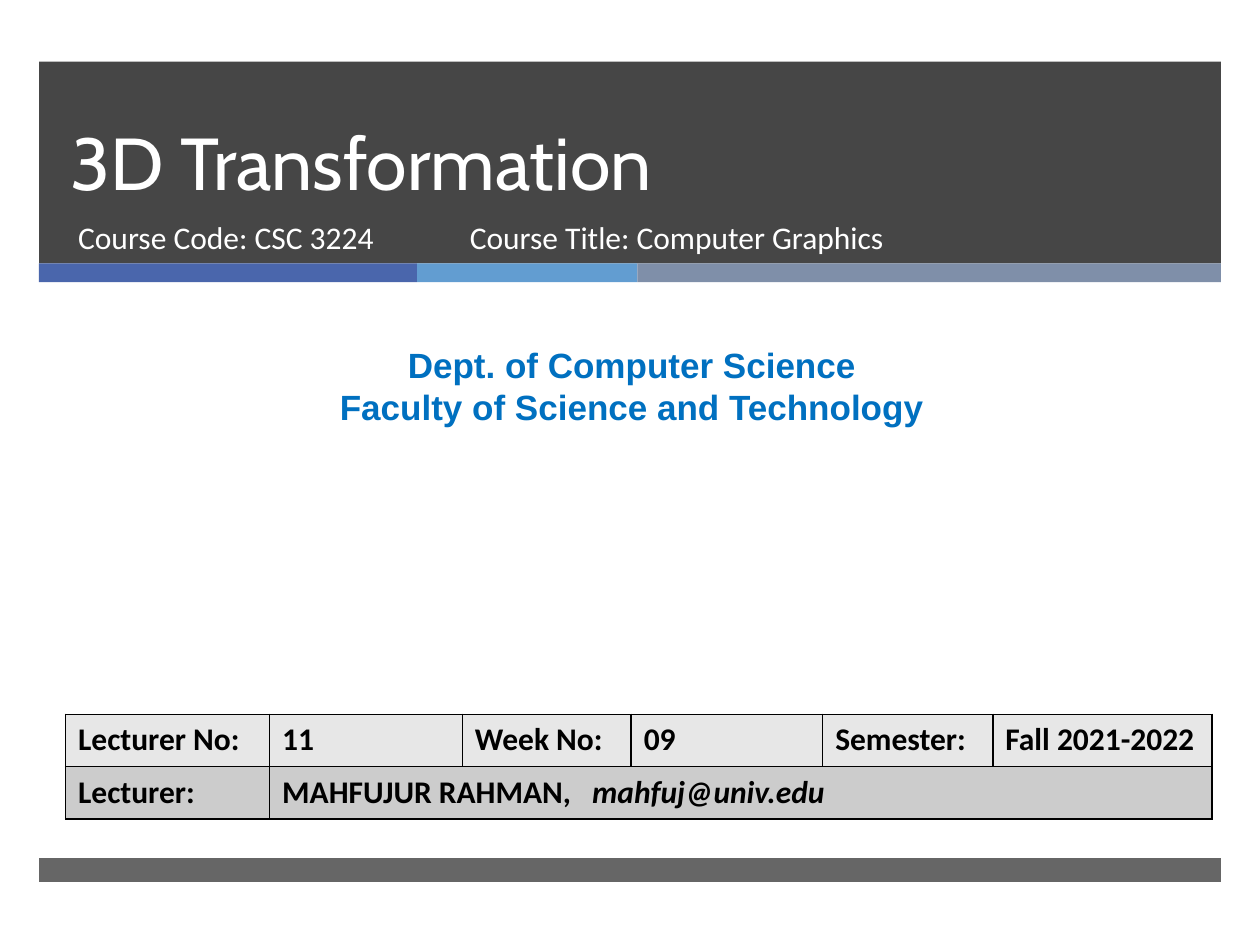
from lxml.etree import SubElement
from pptx import Presentation
from pptx.dml.color import RGBColor
from pptx.enum.shapes import MSO_SHAPE
from pptx.enum.text import MSO_ANCHOR, MSO_AUTO_SIZE, PP_ALIGN
from pptx.oxml.ns import qn
from pptx.util import Inches, Pt

WHITE = RGBColor(0xFF, 0xFF, 0xFF)
BLACK = RGBColor(0x00, 0x00, 0x00)
CHARCOAL = RGBColor(0x26, 0x26, 0x26)
INDIGO = RGBColor(0x4A, 0x66, 0xAC)
SKY = RGBColor(0x62, 0x9D, 0xD1)
SLATE = RGBColor(0x7F, 0x8F, 0xA9)
BLUE = RGBColor(0x00, 0x70, 0xC0)
ROW_FILLS = [RGBColor(0xE7, 0xE7, 0xE7), RGBColor(0xCC, 0xCC, 0xCC)]

TITLE = "3D Transformation"
COURSE_CODE = "Course Code: CSC 3224"
COURSE_TITLE = "Course Title: Computer Graphics"
DEPARTMENT = ["Dept. of Computer Science", "Faculty of Science and Technology"]
LECTURE_ROWS = [
    ["Lecturer No:", "11", "Week No:", "09", "Semester:", "Fall 2021-2022"],
    ["Lecturer:", "MAHFUJUR RAHMAN,"],
]
EMAIL = "mahfuj@univ.edu"
EMAIL_TAB = 2.46

MARGIN, BAND_WIDTH = 0.31, 9.38
STRIPES = [(3, INDIGO), (1.75, SKY), (4.63, SLATE)]
COLUMN_WIDTHS = [1.62, 1.53, 1.34, 1.52, 1.35, 1.74]
ROW_HEIGHT = 0.415


def place(shape, left, top, width, height):
    shape.left, shape.top = Inches(left), Inches(top)
    shape.width, shape.height = Inches(width), Inches(height)


def add_band(page, left, top, width, height, color, opacity=100):
    band = page.shapes.add_shape(
        MSO_SHAPE.RECTANGLE, Inches(left), Inches(top), Inches(width), Inches(height))
    band.shadow.inherit = False
    band.fill.solid()
    band.fill.fore_color.rgb = color
    band.line.fill.background()
    if opacity < 100:
        tint = band.element.spPr.find(qn("a:solidFill"))[0]
        SubElement(tint, qn("a:alpha"), val=str(opacity * 1000))
    page.shapes.title.element.addprevious(band.element)


def add_span(para, text, size, color, font="Calibri", bold=False, italic=False):
    span = para.add_run()
    span.text = text
    span.font.name, span.font.size = font, Pt(size)
    span.font.bold, span.font.italic = bold, italic
    span.font.color.rgb = color


def fill_box(box, lines, align, anchor, size, color, font="Calibri", bold=False):
    frame = box.text_frame
    frame.word_wrap = True
    frame.auto_size = MSO_AUTO_SIZE.NONE
    frame.vertical_anchor = anchor
    for index, line in enumerate(lines):
        para = frame.add_paragraph() if index else frame.paragraphs[0]
        para.alignment = align
        para.space_before = Pt(0)
        add_span(para, line, size, color, font, bold)


def add_borders(cell):
    properties = cell._tc.get_or_add_tcPr()
    for index, side in enumerate(("a:lnL", "a:lnR", "a:lnT", "a:lnB")):
        line = SubElement(properties, qn(side), w=str(Pt(1)))
        fill = SubElement(line, qn("a:solidFill"))
        SubElement(fill, qn("a:srgbClr"), val=str(BLACK))
        properties.insert(index, line)


def add_lecture_table(page):
    grid = page.shapes.add_table(
        len(LECTURE_ROWS), len(COLUMN_WIDTHS), Inches(0.52), Inches(5.67),
        Inches(sum(COLUMN_WIDTHS)), Inches(ROW_HEIGHT * len(LECTURE_ROWS))).table
    for column, width in zip(grid.columns, COLUMN_WIDTHS):
        column.width = Inches(width)
    for row_index, (row, fill) in enumerate(zip(LECTURE_ROWS, ROW_FILLS)):
        grid.rows[row_index].height = Inches(ROW_HEIGHT)
        for column_index in range(len(COLUMN_WIDTHS)):
            cell = grid.cell(row_index, column_index)
            cell.fill.solid()
            cell.fill.fore_color.rgb = fill
            add_borders(cell)
            if column_index < len(row):
                add_span(cell.text_frame.paragraphs[0], row[column_index], 18, BLACK, bold=True)
    lecturer = grid.cell(1, 1)
    lecturer.merge(grid.cell(1, len(COLUMN_WIDTHS) - 1))
    para = lecturer.text_frame.paragraphs[0]
    tabs = SubElement(para._p.get_or_add_pPr(), qn("a:tabLst"))
    SubElement(tabs, qn("a:tab"), pos=str(Inches(EMAIL_TAB)), algn="l")
    add_span(para, "\t" + EMAIL, 18, BLACK, bold=True, italic=True)


def main():
    """Build the opening slide of the lecture."""
    deck = Presentation()
    deck.slide_width, deck.slide_height = Inches(10), Inches(7.5)
    page = deck.slides.add_slide(deck.slide_layouts[0])

    add_band(page, MARGIN, 0.49, BAND_WIDTH, 1.6, CHARCOAL, 85)
    left = MARGIN
    for width, color in STRIPES:
        add_band(page, left, 2.09, width, 0.15, color)
        left += width
    add_band(page, MARGIN, 6.81, BAND_WIDTH, 0.19, CHARCOAL, 70)

    title = page.shapes.title
    place(title, 0.46, 0.49, 8.54, 1.19)
    fill_box(title, [TITLE], PP_ALIGN.LEFT, MSO_ANCHOR.BOTTOM, 42, WHITE, "Cabin")
    title.text_frame.paragraphs[0].line_spacing = Pt(46)

    code = page.placeholders[1]
    place(code, 0.52, 1.68, 3.05, 0.53)
    fill_box(code, [COURSE_CODE], PP_ALIGN.LEFT, MSO_ANCHOR.TOP, 18, WHITE)

    department = page.shapes.add_textbox(0, 0, 0, 0)
    place(department, 0.08, 2.68, 9.87, 0.77)
    fill_box(department, DEPARTMENT, PP_ALIGN.CENTER, MSO_ANCHOR.TOP, 20, BLUE, "Arial", True)

    add_lecture_table(page)

    course = page.shapes.add_textbox(0, 0, 0, 0)
    place(course, 3.63, 1.68, 4.55, 0.53)
    fill_box(course, [COURSE_TITLE], PP_ALIGN.LEFT, MSO_ANCHOR.TOP, 18, WHITE)

    deck.save("out.pptx")


if __name__ == "__main__":
    main()
